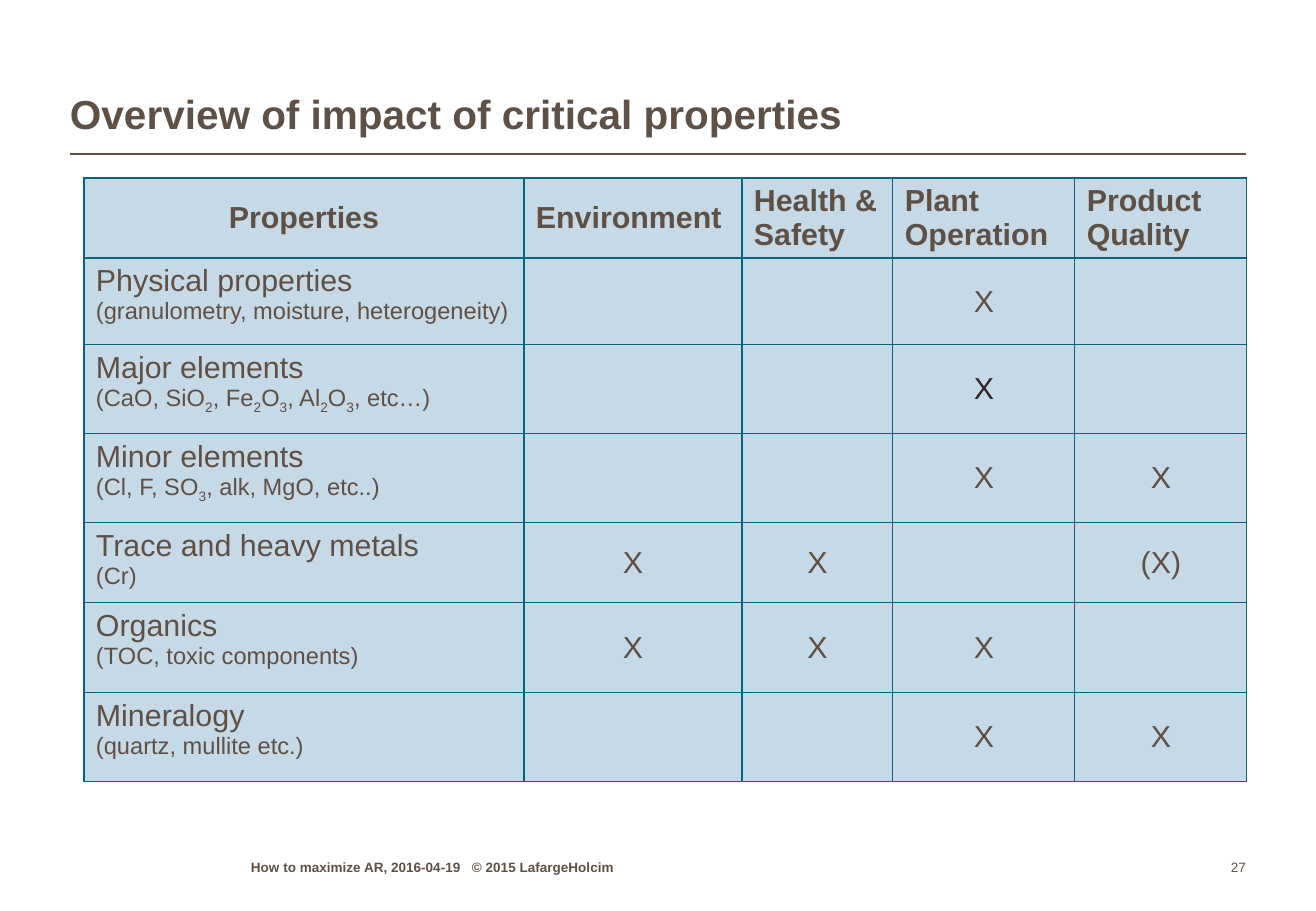
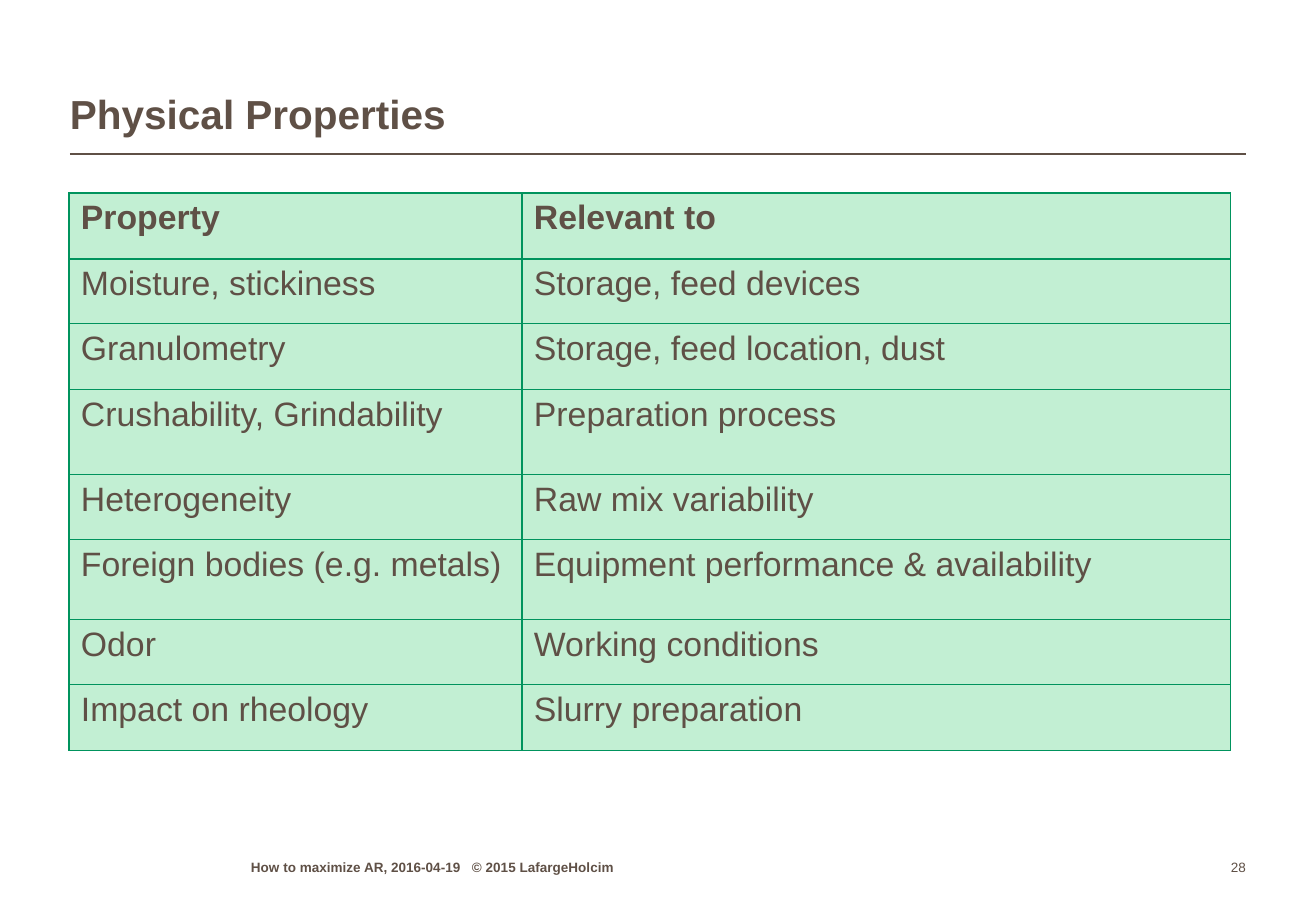
import pptx
import pptx.util
import pptx.dml.color
import pptx.enum.shapes
import pptx.enum.text
import pptx.oxml
import pptx.oxml.ns

COLORS = {
    "text": "5F5046", "dark": "2F2823", "page": "FFFFFF",
    "blue": "C6D9E6", "blue_line": "00677F",
    "green": "C2EFD3", "green_line": "00935D",
}
FONT = "Arial"
EMU_PER_PX = 914400 / 121.5
LEFT, RIGHT = 70, 1246
FOOTER_TOP, FOOTER_HEIGHT = 853, 22
ALIGN = pptx.enum.text.PP_ALIGN
ANCHOR = pptx.enum.text.MSO_ANCHOR

IMPACT_HEADS = ["Properties", "Environment", "Health & Safety", "Plant Operation", "Product Quality"]
# name, details (an underscore lowers the next character), marks per impact column
IMPACTS = [
    ("Physical properties", "(granulometry, moisture, heterogeneity)", ["", "", "X", ""]),
    ("Major elements", "(CaO, SiO_2, Fe_2O_3, Al_2O_3, etc…)", ["", "", "X", ""]),
    ("Minor elements", "(Cl, F, SO_3, alk, MgO, etc..)", ["", "", "X", "X"]),
    ("Trace and heavy metals", "(Cr)", ["X", "X", "", "(X)"]),
    ("Organics", "(TOC, toxic components)", ["X", "X", "X", ""]),
    ("Mineralogy", "(quartz, mullite etc.)", ["", "", "X", "X"]),
]
RELEVANCE = [
    ("Property", "Relevant to"),
    ("Moisture, stickiness", "Storage, feed devices"),
    ("Granulometry", "Storage, feed location, dust"),
    ("Crushability, Grindability", "Preparation process"),
    ("Heterogeneity", "Raw mix variability"),
    ("Foreign bodies (e.g. metals)", "Equipment performance & availability"),
    ("Odor", "Working conditions"),
    ("Impact on rheology", "Slurry preparation"),
]


def px(length):
    return pptx.util.Emu(round(length * EMU_PER_PX))


def rgb(name):
    return pptx.dml.color.RGBColor.from_string(COLORS[name])


def write(frame, text, size=18, color="text", bold=False, align=ALIGN.LEFT, spacing=1.0, tab=None):
    """Add a paragraph, using the first one while it is empty."""
    paragraph = frame.paragraphs[0]
    if paragraph.runs:
        paragraph = frame.add_paragraph()
    paragraph.alignment = align
    paragraph.line_spacing = spacing
    if tab:
        stops = pptx.oxml.parse_xml(
            f'<a:tabLst {pptx.oxml.ns.nsdecls("a")}><a:tab pos="{px(tab)}" algn="l"/></a:tabLst>')
        paragraph._p.get_or_add_pPr().append(stops)
    first, *lowered = text.split("_")
    pieces = [(first, False)]
    for part in lowered:
        pieces += [(part[0], True), (part[1:], False)]
    for piece, subscript in pieces:
        run = paragraph.add_run()
        run.text = piece
        run.font.name = FONT
        run.font.size = pptx.util.Pt(size)
        run.font.bold = bold
        run.font.color.rgb = rgb(color)
        if subscript:
            run._r.get_or_add_rPr().set("baseline", "-25000")


def set_frame(frame, wrap=True):
    frame.margin_left = frame.margin_right = frame.margin_top = frame.margin_bottom = 0
    frame.vertical_anchor = ANCHOR.BOTTOM
    frame.auto_size = pptx.enum.text.MSO_AUTO_SIZE.NONE
    frame.word_wrap = wrap
    return frame


def add_label(slide, left, width, text, wrap=True, **style):
    box = slide.shapes.add_textbox(px(left), px(FOOTER_TOP), px(width), px(FOOTER_HEIGHT))
    write(set_frame(box.text_frame, wrap), text, size=8, **style)


def add_framed_slide(deck, heading, number):
    """Add a slide with title, rule, footer and page number."""
    slide = deck.slides.add_slide(deck.slide_layouts[5])
    slide.background.fill.solid()
    slide.background.fill.fore_color.rgb = rgb("page")
    rule = slide.shapes.add_connector(
        pptx.enum.shapes.MSO_CONNECTOR.STRAIGHT, px(LEFT), px(154), px(RIGHT), px(154))
    rule.line.color.rgb = rgb("text")
    rule.line.width = pptx.util.Pt(1)
    rule._element.spPr.append(pptx.oxml.parse_xml(f'<a:effectLst {pptx.oxml.ns.nsdecls("a")}/>'))
    title = slide.shapes.title
    title.left, title.top, title.width, title.height = px(LEFT), px(25), px(RIGHT - LEFT), px(114)
    write(set_frame(title.text_frame), heading, size=24, bold=True, spacing=0.95)
    add_label(slide, 251, 422, "How to maximize AR, 2016-04-19\t© 2015 LafargeHolcim", bold=True, tab=221)
    add_label(slide, RIGHT - 57, 57, str(number), wrap=False, align=ALIGN.RIGHT)
    return slide


def add_grid(slide, left, top, widths, heights, fill, border):
    """Add an empty table of one fill colour with all borders drawn."""
    table = slide.shapes.add_table(
        len(heights), len(widths), px(left), px(top), px(sum(widths)), px(sum(heights))).table
    table.first_row = table.horz_banding = False
    for column, width in zip(table.columns, widths):
        column.width = px(width)
    for row, height in zip(table.rows, heights):
        row.height = px(height)
    for cell in table.iter_cells():
        properties = cell._tc.get_or_add_tcPr()
        for side in "LRTB":
            properties.append(pptx.oxml.parse_xml(
                f'<a:ln{side} {pptx.oxml.ns.nsdecls("a")} w="{pptx.util.Pt(0.75)}"><a:solidFill>'
                f'<a:srgbClr val="{COLORS[border]}"/></a:solidFill></a:ln{side}>'))
        cell.fill.solid()
        cell.fill.fore_color.rgb = rgb(fill)
        cell.margin_left = cell.margin_right = px(12)
        cell.margin_top = cell.margin_bottom = px(6)
    return table


def write_middle(cell, text, **style):
    cell.vertical_anchor = ANCHOR.MIDDLE
    cell.margin_top = cell.margin_bottom = px(5)
    write(cell.text_frame, text, **style)


def add_impact_table(slide, left, top):
    table = add_grid(slide, left, top, [440, 218, 151, 182, 172],
                     [80, 87, 89, 89, 80, 90, 89], "blue", "blue_line")
    for column, head in enumerate(IMPACT_HEADS):
        write_middle(table.cell(0, column), head, bold=True,
                     align=ALIGN.LEFT if column else ALIGN.CENTER)
    for row, (name, details, marks) in enumerate(IMPACTS, 1):
        frame = table.cell(row, 0).text_frame
        write(frame, name)
        write(frame, details, size=14)
        for column, mark in enumerate(marks, 1):
            if mark:
                write_middle(table.cell(row, column), mark, align=ALIGN.CENTER,
                             color="dark" if name == "Major elements" else "text")


def add_relevance_table(slide, left, top):
    table = add_grid(slide, left, top, [453, 709],
                     [66, 65, 66, 85, 65, 80, 65, 66], "green", "green_line")
    for row, entries in enumerate(RELEVANCE):
        for column, entry in enumerate(entries):
            write(table.cell(row, column).text_frame, entry, size=20, bold=row == 0)


def main():
    deck = pptx.Presentation()
    deck.slide_width, deck.slide_height = px(1316), px(911)
    add_impact_table(add_framed_slide(deck, "Overview of impact of critical properties", 27), 84, 178)
    add_relevance_table(add_framed_slide(deck, "Physical Properties", 28), 69, 193)
    deck.save("out.pptx")


if __name__ == "__main__":
    main()
